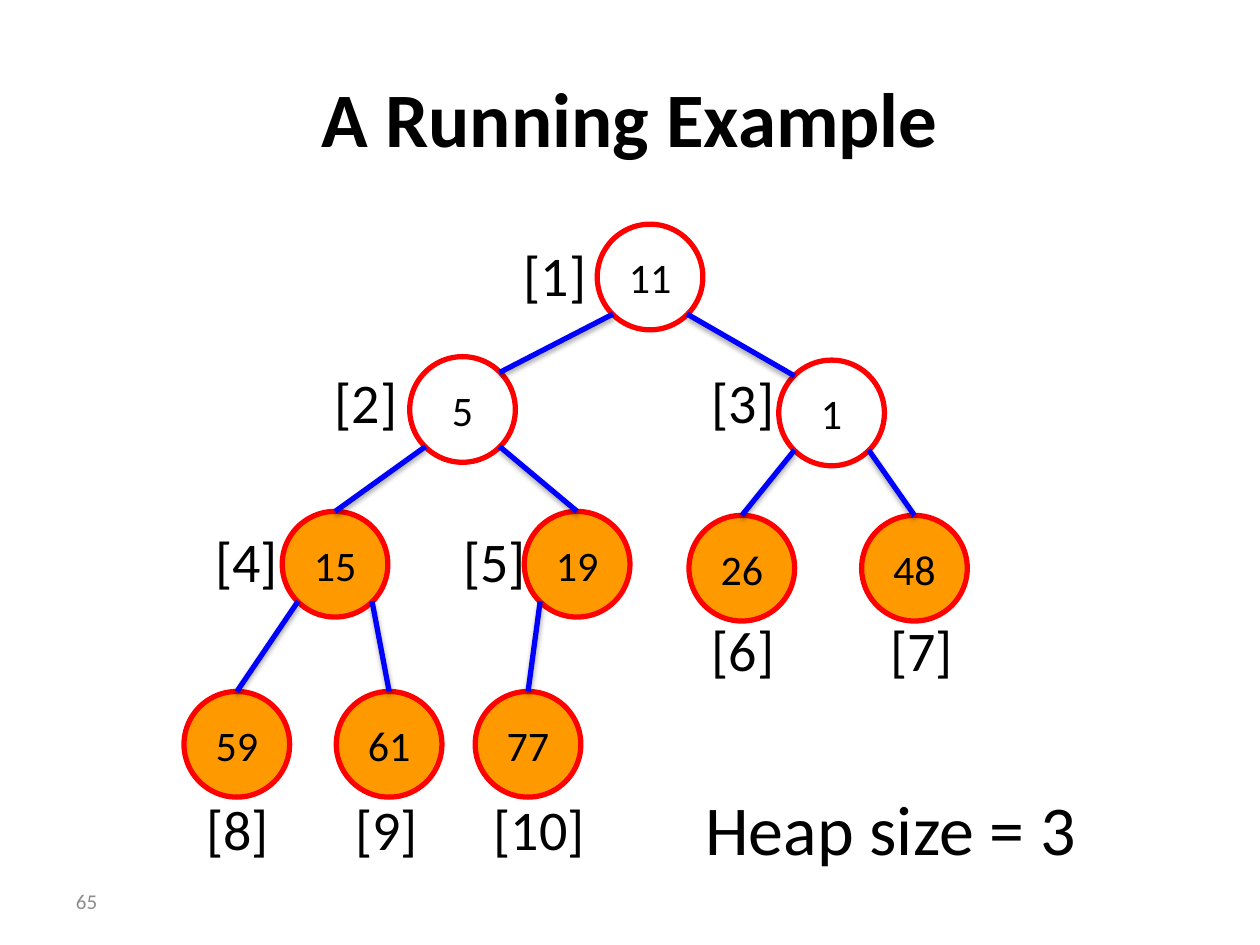
"""Build the heap slide: a numbered binary tree with its sorted nodes shaded."""
import lxml.etree
import pptx
import pptx.dml.color
import pptx.enum.shapes
import pptx.enum.text
import pptx.oxml.ns
import pptx.util

Cm = pptx.util.Cm
Pt = pptx.util.Pt
ALIGN = pptx.enum.text.PP_ALIGN
ANCHOR = pptx.enum.text.MSO_ANCHOR
SIZE = 2.13
HEAP_SIZE = 3


def color(value):
    """Return the colour for a hex string."""
    return pptx.dml.color.RGBColor.from_string(value)


def write(sp, text, size, frame, align=ALIGN.LEFT, bold=False, ink="000000"):
    """Put one formatted line of text in a shape."""
    tf = sp.text_frame
    for name, value in frame.items():
        setattr(tf, name, value)
    p = tf.paragraphs[0]
    p.alignment = align
    r = p.add_run()
    r.text = text
    font = {"name": "Calibri", "size": Pt(size), "bold": bold}
    for name, value in font.items():
        setattr(r.font, name, value)
    r.font.color.rgb = color(ink)


prs = pptx.Presentation()
prs.slide_width, prs.slide_height = Cm(25.4), Cm(19.05)
s = prs.slides.add_slide(prs.slide_layouts[6])

middle = {"word_wrap": True, "vertical_anchor": ANCHOR.MIDDLE}
loose = {"word_wrap": False, "auto_size": pptx.enum.text.MSO_AUTO_SIZE.SHAPE_TO_FIT_TEXT}
inside = {"word_wrap": False, "vertical_anchor": ANCHOR.MIDDLE,
          "margin_left": 0, "margin_right": 0, "margin_top": 0, "margin_bottom": 0}

title = s.shapes.add_textbox(Cm(1.27), Cm(0.76), Cm(22.86), Cm(3.18))
write(title, "A Running Example", 44, middle, ALIGN.CENTER, True)

heap = [
    ("11", 12.04, 4.52, 10.31, 4.72),
    ("5", 8.26, 7.19, 6.5, 7.29),
    ("1", 15.7, 7.26, 14.1, 7.29),
    ("15", 5.69, 10.31, 4.09, 10.49),
    ("19", 10.57, 10.31, 9.09, 10.49),
    ("26", 13.89, 10.39, 14.1, 12.29),
    ("48", 17.37, 10.39, 17.7, 12.29),
    ("59", 3.71, 13.94, 3.91, 15.9),
    ("61", 6.78, 13.94, 6.91, 15.9),
    ("77", 9.58, 13.94, 9.7, 15.9),
]

nodes = {}
for index, (key, x, y, _, _) in enumerate(heap, 1):
    sp = s.shapes.add_shape(pptx.enum.shapes.MSO_SHAPE.OVAL, Cm(x), Cm(y), Cm(SIZE), Cm(SIZE))
    sp.shadow.inherit = False
    if index > HEAP_SIZE:
        sp.fill.solid()
        sp.fill.fore_color.rgb = color("FF9900")
    else:
        sp.fill.background()
    sp.line.color.rgb = color("FF0000")
    sp.line.width = Pt(3)
    write(sp, key, 24, inside, ALIGN.CENTER)
    nodes[index] = sp

near, far = SIZE * 0.15, SIZE * 0.85
for index in range(2, len(heap) + 1):
    _, px, py, _, _ = heap[index // 2 - 1]
    _, x, y, _, _ = heap[index - 1]
    is_left = index % 2 == 0
    start = px + (near if is_left else far)
    end = x + (far if is_left else near)
    edge = s.shapes.add_connector(pptx.enum.shapes.MSO_CONNECTOR.STRAIGHT,
                                  Cm(start), Cm(py + far), Cm(end), Cm(y + near))
    if index > 3:
        edge.end_connect(nodes[index], 0)
    edge.line.color.rgb = color("0000FF")
    edge.line.width = Pt(3)
    qn = pptx.oxml.ns.qn
    effects = lxml.etree.SubElement(edge._element.spPr, qn("a:effectLst"))
    shadow = lxml.etree.SubElement(effects, qn("a:outerShdw"), blurRad=str(Pt(3.1)),
                                   dist=str(Pt(1.8)), dir="5400000", rotWithShape="0")
    black = lxml.etree.SubElement(shadow, qn("a:srgbClr"), val="000000")
    lxml.etree.SubElement(black, qn("a:alpha"), val="35000")

for index, (_, _, _, x, y) in enumerate(heap, 1):
    width = 1.8 if index < 10 else 2.36
    label = s.shapes.add_textbox(Cm(x), Cm(y), Cm(width), Cm(1.63))
    write(label, f"[{index}]", 32, loose)

caption = s.shapes.add_textbox(Cm(13.97), Cm(15.72), Cm(8.05), Cm(1.96))
write(caption, f"Heap size = {HEAP_SIZE}", 40, loose)

number = s.shapes.add_textbox(Cm(0), Cm(17.65), Cm(2.21), Cm(1.02))
write(number, "65", 12, middle, ALIGN.RIGHT, ink="8C8C8C")

prs.save("out.pptx")
